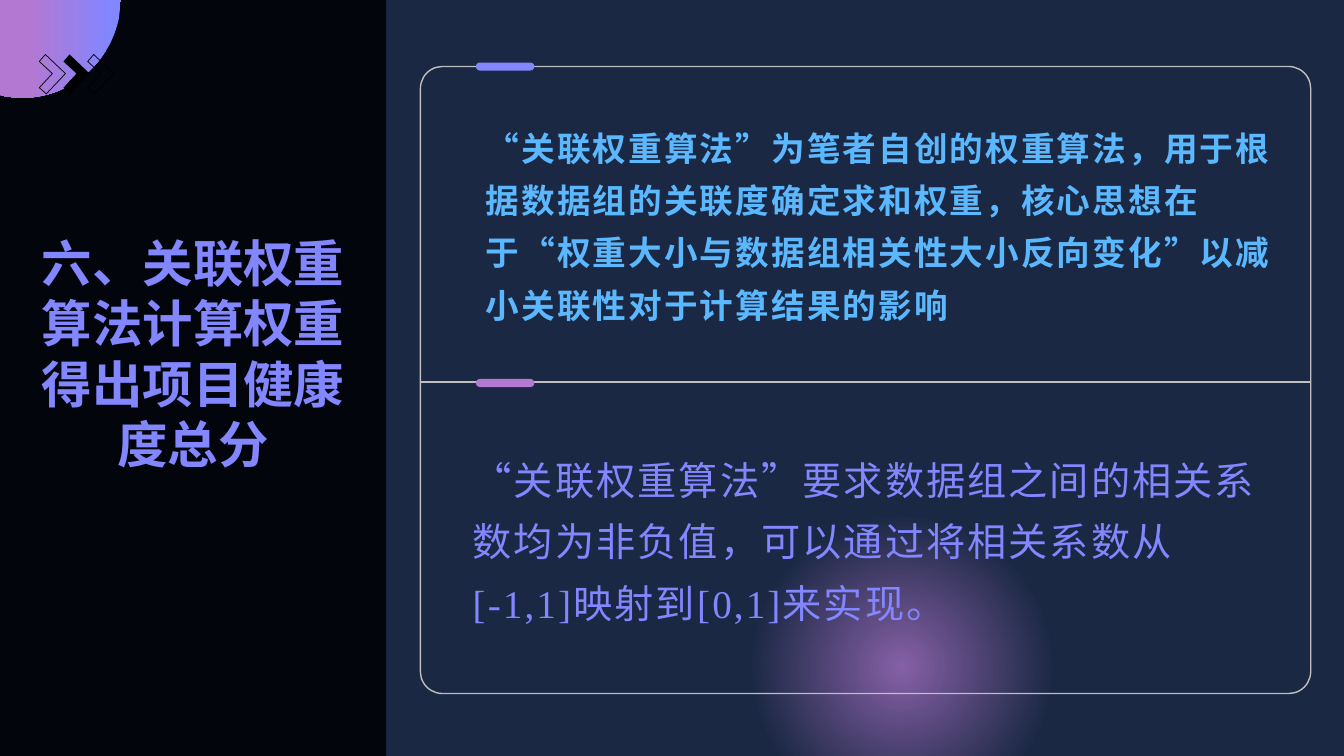
from dataclasses import dataclass

from lxml.etree import SubElement
from pptx import Presentation
from pptx.dml.color import RGBColor
from pptx.enum.lang import MSO_LANGUAGE_ID as Lang
from pptx.enum.shapes import MSO_CONNECTOR as Conn, MSO_SHAPE as Shape
from pptx.enum.text import MSO_ANCHOR as Anchor, PP_ALIGN as Align
from pptx.oxml import parse_xml
from pptx.oxml.ns import nsdecls, qn
from pptx.util import Inches, Pt

TITLE = ["六、关联权重算法计算权重得出项目健康度总分"]
INTRO = ["“关联权重算法”为笔者自创的权重算法，用于根据数据组的关联度确定求和权重，"
         "核心思想在于“权重大小与数据组相关性大小反向变化”以减小关联性对于计算结果的影响"]
REQUIREMENT = ["“关联权重算法”要求数据组之间的相关系数均为非负值，可以通过将相关系数从",
               "[-1,1]映射到[0,1]来实现。"]


@dataclass(frozen=True)
class Theme:
    background: str = "1A2843"
    panel: str = "02050B"
    violet: str = "8286FF"
    lilac: str = "9B7FE8"
    orchid: str = "B378D1"
    sky: str = "5BB8FF"
    rule: str = "BFBFBF"
    black: str = "000000"
    cjk: str = "Noto Sans CJK SC"
    title_font: str = "Noto Sans CJK JP"
    serif: str = "Times New Roman"
    title_size: int = 36
    intro_size: int = 24
    body_size: int = 28


T = Theme()
W, H = 13.33, 7.5
PANEL_W = 3.83
FRAME = (4.17, 0.66, 8.83, 6.22)
DIVIDER_Y = FRAME[1] + FRAME[3] / 2 + 0.02
TAB_X, TAB_W, TAB_H = 4.72, 0.58, 0.08
GLOW = (6.89, 5.09, 4.1, 3.05)
CHEVRON = [(0.06, 0), (0.26, 0.19), (0.07, 0.39), (0, 0.33), (0.13, 0.19), (0, 0.07)]
CHEVRON_X, CHEVRON_Y, CHEVRON_STEP = 0.39, 0.54, 0.24
CORNER_CURVES = [[(1.18, 0.18), (1.09, 0.63), (0.69, 0.97), (0.22, 0.97)],
                 [(0.22, 0.97), (0.15, 0.97), (0.09, 0.96), (0.02, 0.95)]]


def rgb(color):
    return RGBColor.from_string(color)


def paint(sp, fill=None, line=None, width=1):
    sp.shadow.inherit = False
    if fill:
        sp.fill.solid()
        sp.fill.fore_color.rgb = rgb(fill)
    else:
        sp.fill.background()
    if line:
        sp.line.color.rgb = rgb(line)
        sp.line.width = Pt(width)
    else:
        sp.line.fill.background()


def gradient(sp, stops, direction):
    paint(sp)
    marks = "".join(
        f'<a:gs pos="{pos * 1000}"><a:srgbClr val="{color}">'
        f'<a:alpha val="{alpha * 1000}"/></a:srgbClr></a:gs>'
        for pos, color, alpha in stops)
    props = sp._element.spPr
    props.replace(props.find(qn("a:noFill")), parse_xml(
        f'<a:gradFill {nsdecls("a")} rotWithShape="1"><a:gsLst>{marks}</a:gsLst>'
        f'{direction}</a:gradFill>'))


def add_shape(shapes, kind, box, fill=None, line=None, adj=None):
    sp = shapes.add_shape(kind, *map(Inches, box))
    paint(sp, fill, line)
    if adj is not None:
        sp.adjustments[0] = adj
    return sp


def add_outline(shapes, points):
    mils = [(x * 1000, y * 1000) for x, y in points]
    builder = shapes.build_freeform(*mils[0], scale=Inches(1) / 1000)
    builder.add_line_segments(mils[1:], close=True)
    return builder.convert_to_shape()


def bezier(p0, p1, p2, p3, steps=24):
    for i in range(steps + 1):
        t = i / steps
        u = 1 - t
        yield tuple(u ** 3 * a + 3 * u * u * t * b + 3 * u * t * t * c + t ** 3 * d
                    for a, b, c, d in zip(p0, p1, p2, p3))


def add_text(shapes, box, lines, size, leading, color, latin, east,
             bold=False, spacing=0, align=Align.LEFT, anchor=Anchor.TOP,
             insets=(0.1, 0.08, 0.1, 0.05)):
    tf = shapes.add_textbox(*map(Inches, box)).text_frame
    tf.word_wrap = True
    tf.vertical_anchor = anchor
    tf.margin_left, tf.margin_top, tf.margin_right, tf.margin_bottom = map(Inches, insets)
    for i, line in enumerate(lines):
        p = tf.add_paragraph() if i else tf.paragraphs[0]
        p.alignment = align
        p.line_spacing = Pt(leading)
        r = p.add_run()
        r.text = line
        r.font.size = Pt(size)
        r.font.bold = bold
        r.font.color.rgb = rgb(color)
        r.font.name = latin
        r.font.language_id = Lang.SIMPLIFIED_CHINESE
        props = r.font._element
        if spacing:
            props.set("spc", str(int(spacing * 100)))
        SubElement(props, qn("a:ea")).set("typeface", east)


def main():
    prs = Presentation()
    prs.slide_width, prs.slide_height = Inches(W), Inches(H)
    slide = prs.slides.add_slide(prs.slide_layouts[6])
    slide.background.fill.solid()
    slide.background.fill.fore_color.rgb = rgb(T.background)
    shapes = slide.shapes

    glow = add_shape(shapes, Shape.OVAL, GLOW)
    gradient(glow, [(0, T.orchid, 71), (59, T.orchid, 0)],
             '<a:path path="circle"><a:fillToRect l="50000" t="50000" r="50000" b="50000"/></a:path>')
    add_shape(shapes, Shape.RECTANGLE, (0, 0, PANEL_W, H), T.panel)

    arc = [point for curve in CORNER_CURVES for point in bezier(*curve)]
    corner = add_outline(shapes, [(0, 0), (1.2, 0), *arc, (0, 0.94)])
    gradient(corner, [(10, T.violet, 100), (41, T.lilac, 100), (76, T.orchid, 100)],
             '<a:lin ang="10800000" scaled="0"/>')

    chevrons = shapes.add_group_shape().shapes
    for i, (fill, line) in enumerate([(None, T.black), (T.black, None), (None, T.black)]):
        left = CHEVRON_X + i * CHEVRON_STEP
        sp = add_outline(chevrons, [(left + x, CHEVRON_Y + y) for x, y in CHEVRON])
        paint(sp, fill, line, 0.5)

    add_shape(shapes, Shape.ROUNDED_RECTANGLE, FRAME, line=T.rule, adj=0.035)
    divider = shapes.add_connector(
        Conn.STRAIGHT, *map(Inches, (FRAME[0], DIVIDER_Y, FRAME[0] + FRAME[2], DIVIDER_Y)))
    divider.line.color.rgb = rgb(T.rule)
    divider.line.width = Pt(1)
    SubElement(divider._element.spPr, qn("a:effectLst"))
    for top, color in ((0.62, T.violet), (3.76, T.orchid)):
        add_shape(shapes, Shape.ROUNDED_RECTANGLE, (TAB_X, top, TAB_W, TAB_H), color, adj=0.5)

    add_text(shapes, (4.72, 1.07, 7.99, 2.12), INTRO, T.intro_size, 37.3,
             T.sky, T.cjk, T.cjk, bold=True, spacing=1.5)
    add_text(shapes, (4.59, 4.3, 7.99, 2.09), REQUIREMENT, T.body_size, 43.9,
             T.violet, T.serif, T.cjk, spacing=1.5)
    add_text(shapes, (0.33, 0.33, 3.17, 6.83), TITLE, T.title_size, 43.2,
             T.violet, T.title_font, T.title_font, bold=True, align=Align.CENTER,
             anchor=Anchor.MIDDLE, insets=(0, 0, 0, 0.49))
    prs.save("out.pptx")


if __name__ == "__main__":
    main()
